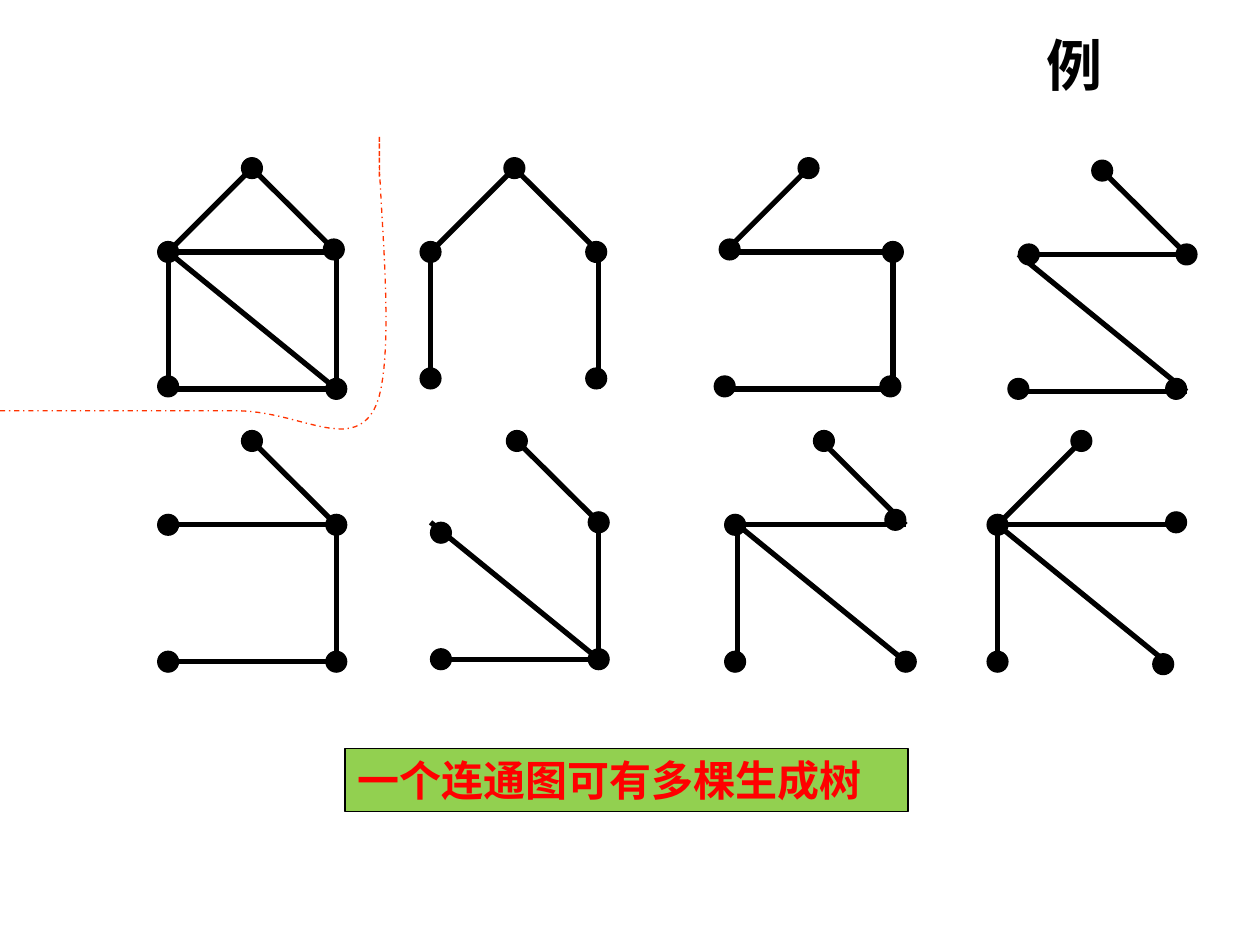
from lxml import etree
from pptx import Presentation
from pptx import util as u
from pptx.dml.color import RGBColor
from pptx.enum import dml, shapes, text
from pptx.oxml.ns import qn


def paint(shape, line, width, fill=None):
    """Set line and fill from hex strings; no fill colour means no fill."""
    shape.line.color.rgb = RGBColor.from_string(line)
    shape.line.width = u.Pt(width)
    if fill:
        shape.fill.solid()
        shape.fill.fore_color.rgb = RGBColor.from_string(fill)
    elif hasattr(shape, "fill"):
        shape.fill.background()


def write(shape, words, alignment, size, font_name, color):
    frame = shape.text_frame
    frame_format = {"word_wrap": True, "auto_size": text.MSO_AUTO_SIZE.NONE,
                    "vertical_anchor": text.MSO_ANCHOR.MIDDLE}
    for name, value in frame_format.items():
        setattr(frame, name, value)
    paragraph = frame.paragraphs[0]
    paragraph.alignment = alignment
    run = paragraph.add_run()
    run.text = words
    font_format = {"size": u.Pt(size), "bold": True, "name": font_name}
    for name, value in font_format.items():
        setattr(run.font, name, value)
    run.font.color.rgb = RGBColor.from_string(color)
    etree.SubElement(run.font._element, qn("a:ea"), typeface=font_name)


presentation = Presentation()
presentation.slide_width = u.Cm(25.4)
presentation.slide_height = u.Cm(19.05)
slide = presentation.slides.add_slide(presentation.slide_layouts[6])

title = slide.shapes.add_textbox(u.Cm(5.49), u.Cm(0.71), u.Cm(16.99), u.Cm(1.17))
write(title, "例", text.PP_ALIGN.RIGHT, 32, "Arial", "000000")

# Vertices of the house, in cm from its left side and the height of its apex:
# A apex, L and R shoulders, P and Q bottom left and right.
house = {"A": (1.69, 0), "L": (0, 1.69), "R": (3.39, 1.69),
         "P": (0, 4.45), "Q": (3.39, 4.45)}
DOT = 0.42

# Left, top, edges, and how far single dots sit from their vertex.
graphs = [
    (3.39, 3.39, "AR AL PQ RQ LP LR LQ", {"R": (-0.05, -0.05), "P": (0, -0.05)}),
    (8.68, 3.39, "AR AL RQ LP",
     {"R": (-0.05, 0), "P": (0, -0.21), "Q": (-0.05, -0.21)}),
    (14.61, 3.39, "AL PQ RQ LR",
     {"L": (0.1, -0.05), "P": (0, -0.05), "Q": (-0.05, -0.05)}),
    (20.53, 3.44, "AR PQ LR LQ",
     {"L": (0.21, 0), "P": (0, -0.05), "Q": (-0.21, -0.05)}),
    (3.39, 8.89, "AR PQ RQ LR", {}),
    (8.68, 8.84, "AR PQ RQ LQ",
     {"A": (0.05, 0.05), "L": (0.21, 0.21), "P": (0.21, 0)}),
    (14.87, 8.89, "AR LP LR LQ",
     {"A": (0.05, 0), "L": (-0.05, 0), "P": (-0.05, 0), "R": (-0.21, -0.1)}),
    (20.11, 8.89, "AL LP LR LQ", {"R": (0.21, -0.05), "Q": (-0.05, 0.05)}),
]

for left, top, edges, nudges in graphs:
    group = slide.shapes.add_group_shape()
    for start, end in edges.split():
        (x1, y1), (x2, y2) = house[start], house[end]
        edge = group.shapes.add_connector(
            shapes.MSO_CONNECTOR.STRAIGHT,
            u.Cm(left + x1), u.Cm(top + y1), u.Cm(left + x2), u.Cm(top + y2))
        paint(edge, "000000", 3)
        etree.SubElement(edge._element.spPr, qn("a:effectLst"))
    for vertex, (x, y) in house.items():
        dx, dy = nudges.get(vertex, (0, 0))
        dot = group.shapes.add_shape(
            shapes.MSO_SHAPE.OVAL, u.Cm(left + x + dx - DOT / 2),
            u.Cm(top + y + dy - DOT / 2), u.Cm(DOT), u.Cm(DOT))
        dot.shadow.inherit = False
        paint(dot, "000000", 0.75, "000000")

banner = slide.shapes.add_shape(
    shapes.MSO_SHAPE.RECTANGLE, u.Cm(6.96), u.Cm(15.09), u.Cm(11.35), u.Cm(1.27))
banner.shadow.inherit = False
paint(banner, "000000", 1, "92D050")
write(banner, "一个连通图可有多棵生成树", text.PP_ALIGN.LEFT, 24,
      "Noto Sans CJK SC", "FF0000")

# The divider: a straight start, then cubic curves drawn as short steps.
STEPS = 24
divider_points = [(0, 8.28), (4.75, 8.28)]
curves = [((6.02, 8.28), (7.06, 9.12), (7.54, 8.26)),
          ((8.03, 7.39), (7.62, 3.89), (7.65, 3.1)),
          ((7.65, 2.31), (7.65, 2.95), (7.65, 3.56))]
for control_1, control_2, end in curves:
    start = divider_points[-1]
    for step in range(1, STEPS + 1):
        t = step / STEPS
        divider_points.append(tuple(
            (1 - t) ** 3 * a + 3 * (1 - t) ** 2 * t * b + 3 * (1 - t) * t ** 2 * c + t ** 3 * d
            for a, b, c, d in zip(start, control_1, control_2, end)))
points = [(u.Cm(x), u.Cm(y)) for x, y in divider_points]
builder = slide.shapes.build_freeform(*points[0])
builder.add_line_segments(points[1:], close=False)
divider = builder.convert_to_shape()
divider.shadow.inherit = False
paint(divider, "FF3300", 0.75)
divider.line.dash_style = dml.MSO_LINE.DASH_DOT

presentation.save("out.pptx")
